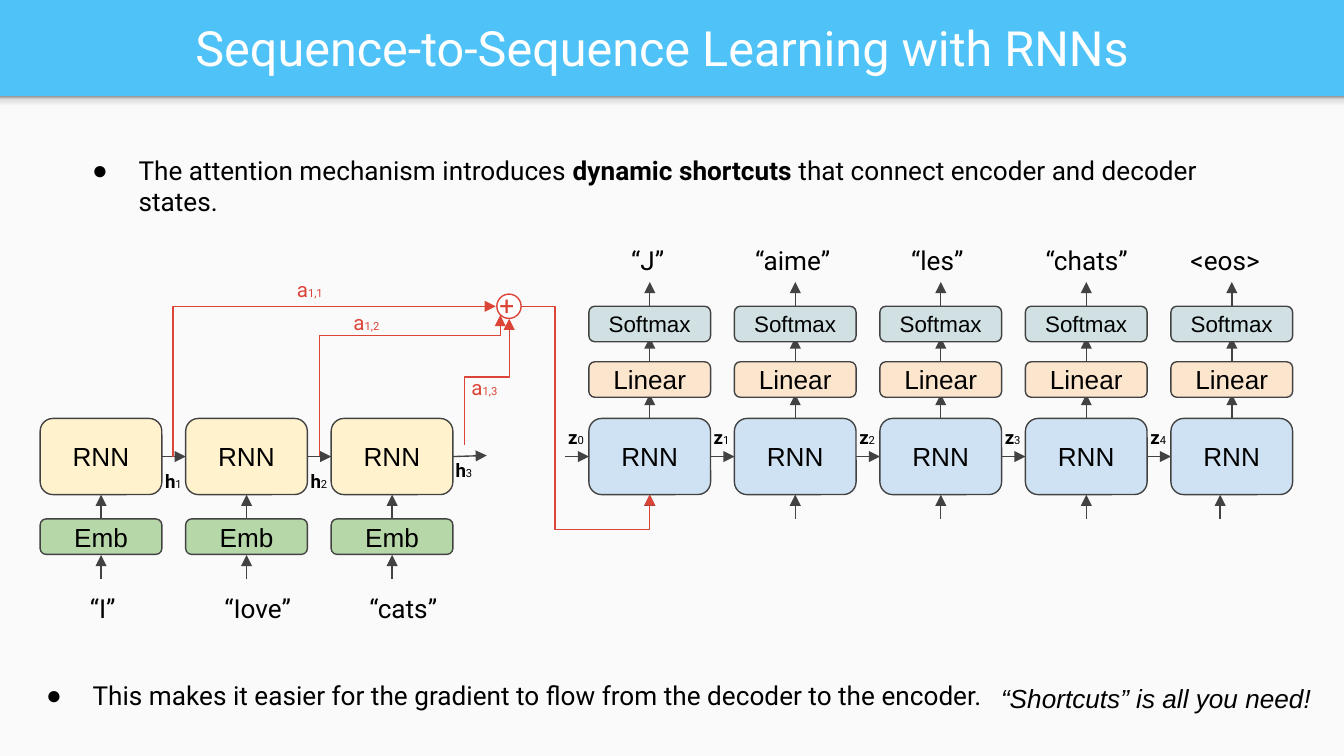
from lxml.etree import SubElement
from pptx import Presentation
from pptx.dml.color import RGBColor
from pptx.enum.shapes import MSO_CONNECTOR, MSO_SHAPE
from pptx.enum.text import MSO_ANCHOR, MSO_AUTO_SIZE, PP_ALIGN
from pptx.oxml import parse_xml
from pptx.oxml.ns import nsdecls, qn
from pptx.util import Cm, Pt

BLUE = RGBColor(0x4F, 0xC3, 0xF7)
PANEL = RGBColor(0xFA, 0xFA, 0xFA)
WHITE = RGBColor(0xFF, 0xFF, 0xFF)
BLACK = RGBColor(0, 0, 0)
GREY = RGBColor(0x42, 0x42, 0x42)
RED = RGBColor(0xDB, 0x44, 0x37)
YELLOW = RGBColor(0xFF, 0xF2, 0xCC)
GREEN = RGBColor(0xB6, 0xD7, 0xA8)
PALE_BLUE = RGBColor(0xCF, 0xE2, 0xF3)
ORANGE = RGBColor(0xFC, 0xE5, 0xCD)
TEAL = RGBColor(0xD0, 0xE0, 0xE3)


def write(shape, runs, anchor=MSO_ANCHOR.TOP, align=PP_ALIGN.LEFT, **base):
    """Fill a shape with one paragraph; each run is (text, format dict)."""
    tf = shape.text_frame
    tf.word_wrap = True
    tf.auto_size = MSO_AUTO_SIZE.NONE
    tf.vertical_anchor = anchor
    for side in ("left", "right", "top", "bottom"):
        setattr(tf, f"margin_{side}", Cm(0.25))
    p = tf.paragraphs[0]
    p.alignment = align
    p.space_before = Pt(0)
    for text, own in runs:
        r = p.add_run()
        r.text = text
        fmt = {"name": "Roboto", "size": Pt(14), "color": BLACK, **base, **own}
        r.font.color.rgb = fmt.pop("color")
        for key, value in fmt.items():
            setattr(r.font, key, value)
    return p


def style_arrow(c, color):
    c.line.color.rgb = color
    c.line.width = Pt(0.75)
    SubElement(c.line._get_or_add_ln(), qn("a:tailEnd"), type="triangle")
    SubElement(c._element.spPr, qn("a:effectLst"))


prs = Presentation()
prs.slide_width, prs.slide_height = Cm(25.4), Cm(14.29)
s = prs.slides.add_slide(prs.slide_layouts[3])
s.background.fill.solid()
s.background.fill.fore_color.rgb = BLUE

# Light panel with a shadow strip under the title bar, behind everything
panel = s.shapes.add_shape(MSO_SHAPE.RECTANGLE, 0, Cm(1.82), Cm(25.4), Cm(12.47))
panel.fill.solid()
panel.fill.fore_color.rgb = PANEL
strip = s.shapes.add_shape(MSO_SHAPE.RECTANGLE, 0, Cm(1.82), Cm(25.4), Cm(0.3))
stops = [(0, "F9F9F9"), (36, "F9F9F9"), (80, "DEDEDE"), (100, "999999")]
gs = "".join(f'<a:gs pos="{pos}000"><a:srgbClr val="{c}"/></a:gs>' for pos, c in stops)
strip._element.spPr.find(qn("a:prstGeom")).addnext(parse_xml(
    f'<a:gradFill {nsdecls("a")}><a:gsLst>{gs}</a:gsLst><a:lin ang="16200000"/></a:gradFill>'))
for i, sp in enumerate((panel, strip)):
    sp.line.fill.background()
    sp.shadow.inherit = False
    s.shapes._spTree.insert(2 + i, sp._element)

# Title and the two bullets
title, top_list, bottom_list = s.placeholders
for sp, box in [(title, (0.28, 0.05, 24.5, 1.68)),
                (top_list, (1.1, 2.67, 23.2, 1.7)),
                (bottom_list, (0.23, 12.6, 18.9, 1.12))]:
    sp.left, sp.top, sp.width, sp.height = map(Cm, box)
write(title, [("Sequence-to-Sequence Learning with RNNs", {})],
      MSO_ANCHOR.MIDDLE, PP_ALIGN.CENTER, size=Pt(26), color=WHITE)
bullets = [
    (top_list, [("The attention mechanism introduces ", {}),
                ("dynamic shortcuts", {"bold": True}),
                (" that connect encoder and decoder states.", {})]),
    (bottom_list, [("This makes it easier for the gradient to flow from the "
                    "decoder to the encoder.", {})]),
]
for sp, runs in bullets:
    pPr = write(sp, runs)._p.get_or_add_pPr()
    pPr.set("marL", str(Cm(1.27)))
    pPr.set("indent", str(-Cm(0.88)))
    clr = SubElement(pPr, qn("a:buClr"))
    SubElement(clr, qn("a:srgbClr"), val=str(BLACK))
    SubElement(pPr, qn("a:buChar"), char="●")

# Grid of the two networks
PITCH, BOX_W, RISE, FLOW_Y = 2.75, 2.3, 0.46, 8.63
RNN_Y, RNN_H, EMB_Y, LINEAR_Y, SOFTMAX_Y, THIN_H = 7.91, 1.44, 9.81, 6.84, 5.79, 0.67
encoder = [0.76 + i * PITCH for i in range(3)]
decoder = [11.13 + i * PITCH for i in range(5)]
boxes, arrows, labels = [], [], []
for x in encoder:
    boxes += [("RNN", x, RNN_Y, RNN_H, YELLOW, 14), ("Emb", x, EMB_Y, THIN_H, GREEN, 14)]
    arrows += [(x + 1.15, y, x + 1.15, y - RISE) for y in (EMB_Y, 10.95)]
for x in decoder:
    boxes += [("RNN", x, RNN_Y, RNN_H, PALE_BLUE, 14),
              ("Linear", x, LINEAR_Y, THIN_H, ORANGE, 14),
              ("Softmax", x, SOFTMAX_Y, THIN_H, TEAL, 12)]
    arrows += [(x + 1.15, y, x + 1.15, y - RISE) for y in (RNN_Y, LINEAR_Y, SOFTMAX_Y)]
for x in [x + 1.15 for x in decoder[:-1]] + [23.06]:
    arrows.append((x, EMB_Y, x, EMB_Y - RISE))
for x in encoder[1:] + decoder:
    arrows.append((x - PITCH + BOX_W, FLOW_Y, x, FLOW_Y))
arrows.append((8.56, FLOW_Y, 9.2, 8.61))

for x1, y1, x2, y2 in arrows:
    c = s.shapes.add_connector(MSO_CONNECTOR.STRAIGHT, Cm(x1), Cm(y1), Cm(x2), Cm(y2))
    style_arrow(c, GREY)
for text, x, y, h, color, size in boxes:
    sp = s.shapes.add_shape(MSO_SHAPE.ROUNDED_RECTANGLE, Cm(x), Cm(y), Cm(BOX_W), Cm(h))
    sp.shadow.inherit = False
    sp.fill.solid()
    sp.fill.fore_color.rgb = color
    sp.line.color.rgb = GREY
    sp.line.width = Pt(0.75)
    write(sp, [(text, {})], MSO_ANCHOR.MIDDLE, PP_ALIGN.CENTER, name="Arial", size=Pt(size))

# Attention sum and its shortcuts
node = s.shapes.add_shape(MSO_SHAPE.OVAL, Cm(9.39), Cm(5.56), Cm(0.46), Cm(0.46))
node.shadow.inherit = False
node.fill.solid()
node.fill.fore_color.rgb = WHITE
node.line.color.rgb = RED
node.line.width = Pt(0.75)
shortcuts = [
    ("bentConnector2", 4.9, 4.16, 2.84, 6.1, 270, []),
    ("bentConnector3", 6.41, 5.58, 2.67, 3.42, 270, [85600]),
    ("bentConnector3", 8.01, 6.8, 2.39, 0.84, 270, [54000]),
    ("bentConnector4", 9.85, 5.79, 2.43, 3.56, 0, [26400, 118600]),
]
for preset, x, y, w, h, rot, adjust in shortcuts:
    c = s.shapes.add_connector(MSO_CONNECTOR.ELBOW, Cm(x), Cm(y), Cm(x + w), Cm(y + h))
    style_arrow(c, RED)
    c._element.spPr.find(qn("a:xfrm")).set("rot", str(rot * 60000))
    geom = c._element.spPr.find(qn("a:prstGeom"))
    geom.set("prst", preset)
    for i, value in enumerate(adjust, 1):
        SubElement(geom.find(qn("a:avLst")), qn("a:gd"), name=f"adj{i}", fmla=f"val {value}")

# Words, state names, attention weights and the remark
words = [("“I”", 1.45, 10.95, 1.27), ("“Iove”", 3.99, 10.95, 1.83), ("“cats”", 6.73, 10.95, 1.83),
         ("“J”", 11.68, 4.37, 1.27), ("“aime”", 14.02, 4.37, 2.03), ("“les”", 16.97, 4.37, 2.03),
         ("“chats”", 19.51, 4.37, 2.29), ("<eos>", 22.25, 4.37, 2.29)]
for text, x, y, w in words:
    labels.append((x, y, w, [(text, {})]))
states = [("h", "1", 2.87, 8.64), ("h", "2", 5.62, 8.64), ("h", "3", 8.36, 8.43)]
states += [("z", str(i), 10.49 + i * PITCH, 7.8) for i in range(5)]
for name, index, x, y in states:
    labels.append((x, y, 0.84, [(name, {"size": Pt(10), "bold": True}), (index, {"size": Pt(6)})]))
for index, x, y in [("1,1", 5.36, 4.98), ("1,2", 6.43, 5.61), ("1,3", 8.66, 6.83)]:
    labels.append((x, y, 1.09, [("a", {"size": Pt(11), "color": RED}),
                                (index, {"size": Pt(6), "color": RED})]))
labels.append((9.19, 5.23, 0.64, [("+", {"color": RED})]))
labels.append((18.67, 12.65, 6.88, [("“Shortcuts” is all you need!", {"name": "Arial", "italic": True})]))
for x, y, w, runs in labels:
    write(s.shapes.add_textbox(Cm(x), Cm(y), Cm(w), Cm(1.1)), runs)

prs.save("out.pptx")
